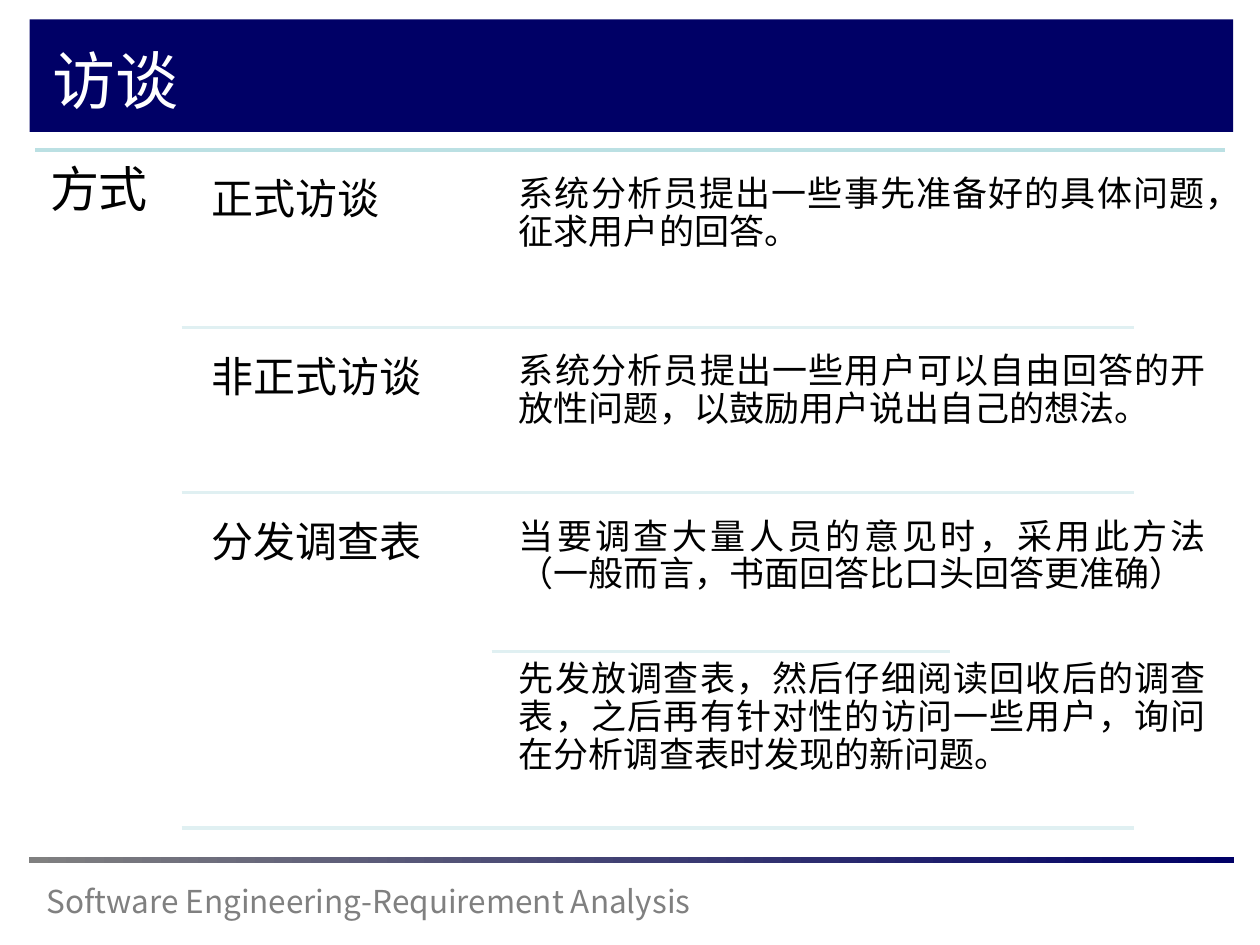
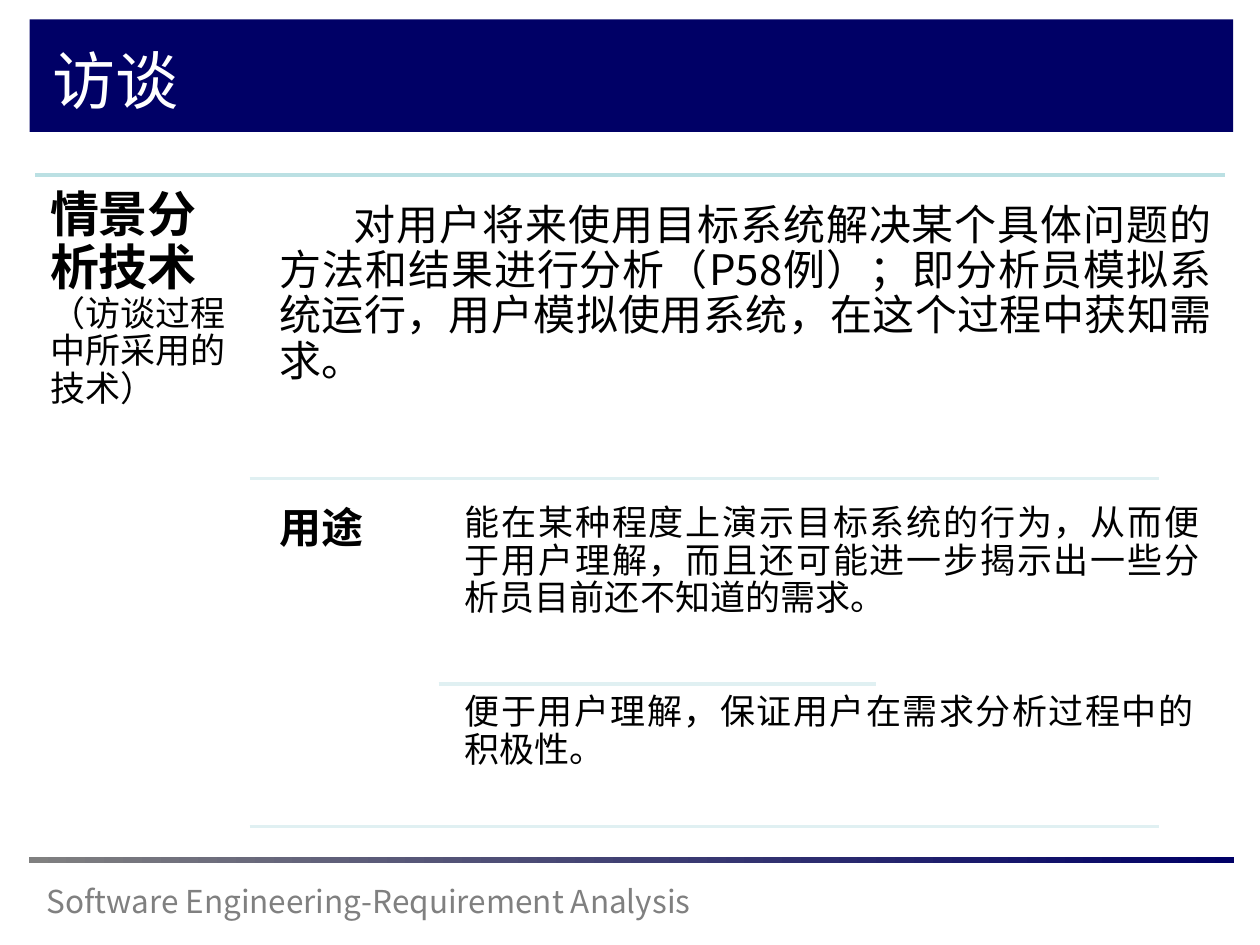
"""Build two slides on interviews as a requirement analysis technique."""
from dataclasses import dataclass

from lxml.etree import SubElement
from pptx import Presentation
from pptx.dml.color import RGBColor
from pptx.enum.shapes import MSO_CONNECTOR, MSO_SHAPE
from pptx.enum.text import MSO_ANCHOR, PP_ALIGN
from pptx.oxml.ns import qn
from pptx.util import Cm, Pt

COLORS = {
    "navy": "000066",
    "gray": "808080",
    "white": "FFFFFF",
    "black": "000000",
    "main_rule": "BBE0E3",
    "row_rule": "E0F0F2",
}
FONT = "Noto Sans CJK SC"
FOOTER = "Software Engineering-Requirement Analysis"
LEFT, RIGHT = 0.71, 24.69
ROW_GAP = 0.33


@dataclass
class Columns:
    rule_left: float
    rule_right: float
    topic_left: float
    topic_width: float
    detail_rule_left: float
    detail_rule_right: float
    detail_left: float


def rgb(name):
    return RGBColor.from_string(COLORS[name])


def style_paragraph(paragraph, size, color="black", bold=False):
    font = paragraph.font
    font.name, font.size, font.bold = FONT, Pt(size), bold
    font.color.rgb = rgb(color)
    SubElement(font._rPr, qn("a:ea")).set("typeface", FONT)


def add_text(slide, box, text, size, inset, bold=False, indent=0,
             alignment=PP_ALIGN.JUSTIFY):
    shape = slide.shapes.add_textbox(*map(Cm, box))
    frame = shape.text_frame
    frame.word_wrap = True
    frame.margin_left = frame.margin_right = Cm(inset)
    frame.margin_top = frame.margin_bottom = Cm(inset)
    paragraph = frame.paragraphs[0]
    paragraph.text = text
    paragraph.alignment = alignment
    paragraph.line_spacing = 0.9
    if indent:
        paragraph._p.get_or_add_pPr().set("indent", str(Cm(indent)))
    style_paragraph(paragraph, size, bold=bold)
    return paragraph


def add_rule(slide, left, right, top, color="row_rule"):
    rule = slide.shapes.add_connector(
        MSO_CONNECTOR.STRAIGHT, Cm(left), Cm(top), Cm(right), Cm(top))
    rule.line.color.rgb = rgb(color)
    rule.line.width = Pt(2)
    SubElement(rule._element.spPr, qn("a:effectLst"))


def add_bar(slide, box):
    bar = slide.shapes.add_shape(MSO_SHAPE.RECTANGLE, *map(Cm, box))
    bar.shadow.inherit = False
    bar.line.fill.background()
    return bar


def decorate_layout(layout, slide):
    """Draw the shared band, footer bar and footer text, then move them to the layout."""
    band = add_bar(slide, (0.6, 0.39, 24.26, 2.27))
    band.fill.solid()
    band.fill.fore_color.rgb = rgb("navy")

    footer_bar = add_bar(slide, (0.58, 17.27, 24.3, 0.13))
    footer_bar.fill.gradient()
    footer_bar.fill.gradient_angle = 0
    for stop, color in zip(footer_bar.fill.gradient_stops, ("gray", "navy")):
        stop.color.rgb = rgb(color)

    footer = slide.shapes.add_textbox(Cm(0.69), Cm(17.65), Cm(14), Cm(1.02))
    footer.text_frame.word_wrap = True
    paragraph = footer.text_frame.paragraphs[0]
    paragraph.text = FOOTER
    style_paragraph(paragraph, 18, "gray")

    for position, shape in enumerate((band, footer_bar, footer)):
        shape._element.nvSpPr.cNvPr.set("id", str(20 + position))
        layout.shapes._spTree.insert(2 + position, shape._element)


def set_title(slide, text):
    title = slide.shapes.title
    title.left, title.top, title.width, title.height = map(
        Cm, (0.81, 0.66, 22.38, 1.88))
    title.text_frame.vertical_anchor = MSO_ANCHOR.MIDDLE
    paragraph = title.text_frame.paragraphs[0]
    paragraph.text = text
    paragraph.alignment = PP_ALIGN.LEFT
    style_paragraph(paragraph, 36, "white")


def add_row(slide, columns, top, topic, details, bold=False):
    """Add a topic with its details, given as text, bottom and width."""
    bottom = details[-1][1]
    add_text(slide, (columns.topic_left, top, columns.topic_width, bottom - top),
             topic, 24, 0.25, bold)
    for text, detail_bottom, width in details:
        add_text(slide, (columns.detail_left, top, width, detail_bottom - top),
                 text, 20, 0.2)
        if detail_bottom < bottom:
            add_rule(slide, columns.detail_rule_left, columns.detail_rule_right,
                     detail_bottom)
        top = detail_bottom
    add_rule(slide, columns.rule_left, columns.rule_right, bottom)


def build_methods(slide):
    top, width = 3.02, 14.25
    columns = Columns(3.66, 22.86, 4.01, 5.89, 9.91, 19.15, 10.26)
    rows = [
        ("正式访谈", [
            ("系统分析员提出一些事先准备好的具体问题，征求用户的回答。", 6.6, width)]),
        ("非正式访谈", [
            ("系统分析员提出一些用户可以自由回答的开放性问题，以鼓励用户说出自己的想法。",
             9.93, width)]),
        ("分发调查表", [
            ("当要调查大量人员的意见时，采用此方法（一般而言，书面回答比口头回答更准确）",
             13.13, width),
            ("先发放调查表，然后仔细阅读回收后的调查表，之后再有针对性的访问一些用户，"
             "询问在分析调查表时发现的新问题。", 16.69, width)]),
    ]
    set_title(slide, "访谈")
    add_rule(slide, LEFT, RIGHT, top, "main_rule")
    add_text(slide, (LEFT, top, 2.95, 14), "方式", 28, 0.3)
    for topic, details in rows:
        add_row(slide, columns, top + ROW_GAP, topic, details)
        top = details[-1][1]


def build_scenario_analysis(slide):
    top, middle = 3.53, 9.65
    columns = Columns(5.03, 23.37, 5.38, 3.45, 8.84, 17.65, 9.17)
    set_title(slide, "访谈")
    add_rule(slide, LEFT, RIGHT, top, "main_rule")
    label = add_text(slide, (LEFT, top, 4.34, 13.5), "情景分析技术", 28, 0.3,
                     bold=True, alignment=PP_ALIGN.LEFT)
    remark = label.add_run()
    remark.text = "（访谈过程中所采用的技术）"
    remark.font.size, remark.font.bold = Pt(20), False
    add_text(slide, (columns.topic_left, top + ROW_GAP, 19.3, 5.79),
             "对用户将来使用目标系统解决某个具体问题的方法和结果进行分析（P58例）；"
             "即分析员模拟系统运行，用户模拟使用系统，在这个过程中获知需求。",
             24, 0.25, indent=1.5)
    add_rule(slide, columns.rule_left, columns.rule_right, middle)
    add_row(slide, columns, middle + ROW_GAP, "用途", [
        ("能在某种程度上演示目标系统的行为，从而便于用户理解，"
         "而且还可能进一步揭示出一些分析员目前还不知道的需求。", 13.79, 15.21),
        ("便于用户理解，保证用户在需求分析过程中的积极性。", 16.66, 15.09),
    ], bold=True)


def main():
    presentation = Presentation()
    presentation.slide_width, presentation.slide_height = Cm(25.4), Cm(19.05)
    layout = presentation.slide_layouts.get_by_name("Title Only")
    methods = presentation.slides.add_slide(layout)
    decorate_layout(layout, methods)
    build_methods(methods)
    build_scenario_analysis(presentation.slides.add_slide(layout))
    presentation.save("out.pptx")


if __name__ == "__main__":
    main()
